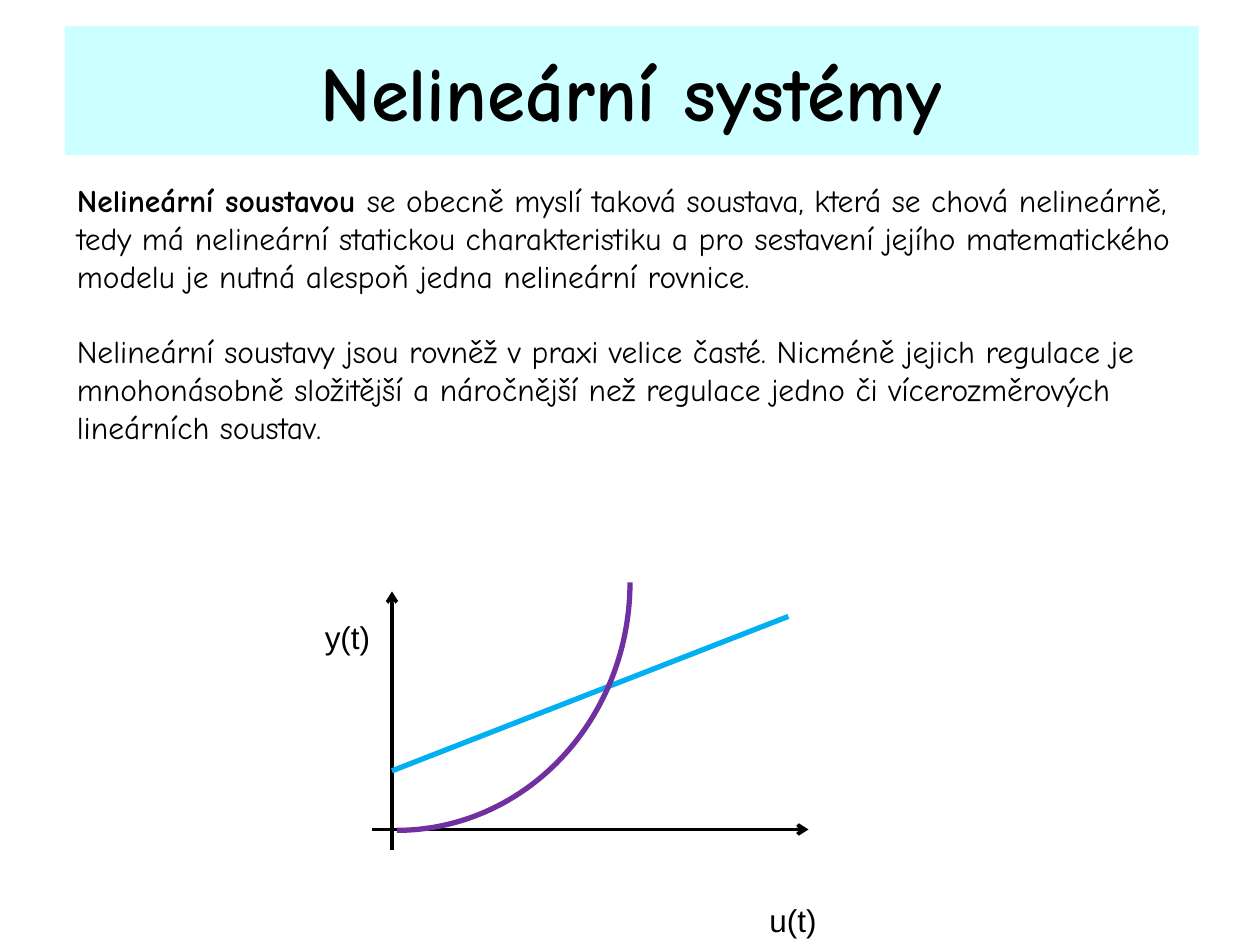
from lxml import etree
from pptx import Presentation
from pptx import util as u
from pptx.dml.color import RGBColor
from pptx.enum import shapes, text
from pptx.oxml import ns


def color(code):
    return RGBColor.from_string(code)


class Deck:
    ink = "000000"
    hand = "Comic Neue"
    plain = "Arial"

    def __init__(self, wide, high):
        self.prs = Presentation()
        self.prs.slide_width, self.prs.slide_height = u.Pt(wide), u.Pt(high)
        self.slide = self.prs.slides.add_slide(self.prs.slide_layouts[5])

    def place(self, shape, box):
        for name, val in zip(("left", "top", "width", "height"), box):
            setattr(shape, name, u.Pt(val))

    def run(self, par, words, **form):
        run = par.add_run()
        run.text = words
        look = {"name": self.hand, "size": u.Pt(18), "bold": False} | form
        for name, val in look.items():
            setattr(run.font, name, val)
        run.font.color.rgb = color(self.ink)

    def title(self, words, box, fill):
        shape = self.slide.shapes.title
        self.place(shape, box)
        shape.fill.solid()
        shape.fill.fore_color.rgb = color(fill)
        frame = shape.text_frame
        frame.auto_size = text.MSO_AUTO_SIZE.NONE
        frame.vertical_anchor = text.MSO_ANCHOR.MIDDLE
        par = frame.paragraphs[0]
        par.alignment = text.PP_ALIGN.CENTER
        self.run(par, words, size=u.Pt(44), bold=True)

    def text(self, pars, box, gap=0, **form):
        """Each paragraph is a list of (words, bold) pairs."""
        frame = self.slide.shapes.add_textbox(*map(u.Pt, box)).text_frame
        frame.word_wrap = True
        frame.auto_size = text.MSO_AUTO_SIZE.SHAPE_TO_FIT_TEXT
        for i, parts in enumerate(pars):
            par = frame.add_paragraph() if i else frame.paragraphs[0]
            if i:
                par.space_before = u.Pt(gap)
            for words, bold in parts:
                self.run(par, words, bold=bold, **form)

    def line(self, start, end, hue, width, arrow=False):
        line = self.slide.shapes.add_connector(
            shapes.MSO_CONNECTOR.STRAIGHT, *map(u.Pt, start + end))
        line.line.color.rgb = color(hue)
        line.line.width = u.Pt(width)
        if arrow:
            tip = etree.SubElement(line.line._get_or_add_ln(), ns.qn("a:tailEnd"))
            tip.set("type", "arrow")
        etree.SubElement(line._element.spPr, ns.qn("a:effectLst"))

    def arc(self, box, turn, hue, width):
        arc = self.slide.shapes.add_shape(
            shapes.MSO_SHAPE.ARC, *map(u.Pt, box))
        arc.rotation = turn
        arc.shadow.inherit = False
        arc.fill.background()
        arc.line.color.rgb = color(hue)
        arc.line.width = u.Pt(width)


def main():
    deck = Deck(720, 540)

    # Title band and explanation
    deck.title("Nelineární systémy", (37, 15, 648, 73.5), "CCFFFF")
    deck.text([
        [("Nelineární soustavou ", True),
         ("se obecně myslí taková soustava, která se chová nelineárně, "
          "tedy má nelineární statickou charakteristiku a pro sestavení "
          "jejího matematického modelu je nutná alespoň jedna nelineární "
          "rovnice.", False)],
        [("Nelineární soustavy jsou rovněž v praxi velice časté. Nicméně "
          "jejich regulace je mnohonásobně složitější a náročnější než "
          "regulace jedno či vícerozměrových lineárních soustav.", False)],
    ], (36.8, 100, 646.5, 158.4), gap=21.6)

    # Axes and their labels
    left, base = 224, 474
    deck.line((212.5, base), (462, base), deck.ink, 2, arrow=True)
    deck.line((left, 485.5), (left, 338), deck.ink, 2, arrow=True)
    for name, x, y in (("u(t)", 432.5, 511.5), ("y(t)", 178.5, 349.5)):
        deck.text([[(name, False)]], (x, y, 62.5, 29), name=deck.plain)

    # Linear and nonlinear characteristics
    deck.line((left, 440.5), (450.5, 352.25), "00B0F0", 3)
    deck.arc((85, 199.5, 283.5, 266.5), 90, "7030A0", 3)

    deck.prs.save("out.pptx")


if __name__ == "__main__":
    main()
